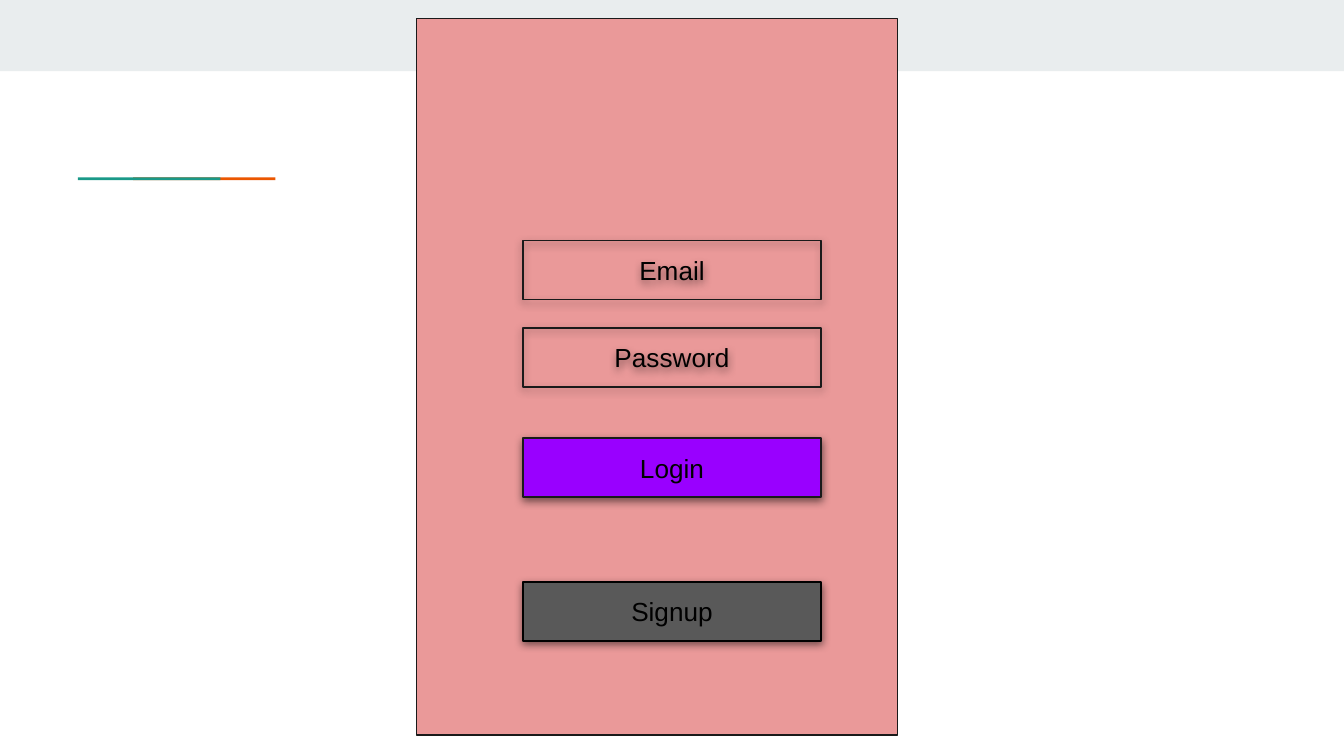
import pptx
import pptx.util
import pptx.dml.color
import pptx.enum.shapes
import pptx.enum.text
import pptx.oxml
import pptx.oxml.ns

WIDE = 10
HIGH = WIDE * 9 / 16
HUES = {
    "band": "E9EDEE", "teal": "1A9988", "orange": "EB5600",
    "panel": "EA9999", "edge": "1A1A1A", "black": "000000",
    "login": "9900FF", "signup": "595959",
}
DECOR = [
    (0, 0, WIDE, 0.53, "band", None),
    (0.99, 1.32, 1.06, 0.02, "orange", None),
    (0.58, 1.32, 1.06, 0.02, "teal", None),
    (3.1, 0.14, 3.58, 5.33, "panel", "edge"),
]
FIELDS = [
    ("Email", 1.79, None, "edge"),
    ("Password", 2.44, None, "edge"),
    ("Login", 3.26, "login", "edge"),
    ("Signup", 4.33, "signup", "black"),
]
BOX_W, BOX_H = 2.22, 0.44
SHADE = (
    f'<a:effectLst {pptx.oxml.ns.nsdecls("a")}>'
    '<a:outerShdw blurRad="57150" dist="19050" dir="5400000" algn="bl" rotWithShape="0">'
    f'<a:srgbClr val="{HUES["black"]}"><a:alpha val="50000"/></a:srgbClr>'
    '</a:outerShdw></a:effectLst>'
)


def hue(name):
    return pptx.dml.color.RGBColor.from_string(HUES[name])


def add_box(slide, left, top, wide, high, fill, edge):
    place = [pptx.util.Inches(n) for n in (left, top, wide, high)]
    box = slide.shapes.add_shape(pptx.enum.shapes.MSO_SHAPE.RECTANGLE, *place)
    box.shadow.inherit = False
    if fill:
        box.fill.solid()
        box.fill.fore_color.rgb = hue(fill)
    else:
        box.fill.background()
    if edge:
        box.line.color.rgb = hue(edge)
        box.line.width = pptx.util.Pt(0.75)
    else:
        box.line.fill.background()
    return box


def add_shade(box):
    props = box._element.spPr
    props.remove(props.find(pptx.oxml.ns.qn("a:effectLst")))
    props.append(pptx.oxml.parse_xml(SHADE))


def add_label(box, text):
    frame = box.text_frame
    frame.word_wrap = True
    frame.vertical_anchor = pptx.enum.text.MSO_ANCHOR.MIDDLE
    for side in ("left", "right", "top", "bottom"):
        setattr(frame, f"margin_{side}", pptx.util.Inches(0.1))
    para = frame.paragraphs[0]
    para.text = text
    para.alignment = pptx.enum.text.PP_ALIGN.CENTER
    para.font.name = "Arial"
    para.font.size = pptx.util.Pt(14)
    para.font.color.rgb = hue("black")


def main():
    deck = pptx.Presentation()
    deck.slide_width = pptx.util.Inches(WIDE)
    deck.slide_height = pptx.util.Inches(HIGH)
    slide = deck.slides.add_slide(deck.slide_layouts[6])
    for part in DECOR:
        add_box(slide, *part)
    for text, top, fill, edge in FIELDS:
        box = add_box(slide, (WIDE - BOX_W) / 2, top, BOX_W, BOX_H, fill, edge)
        add_shade(box)
        add_label(box, text)
    deck.save("out.pptx")


if __name__ == "__main__":
    main()
